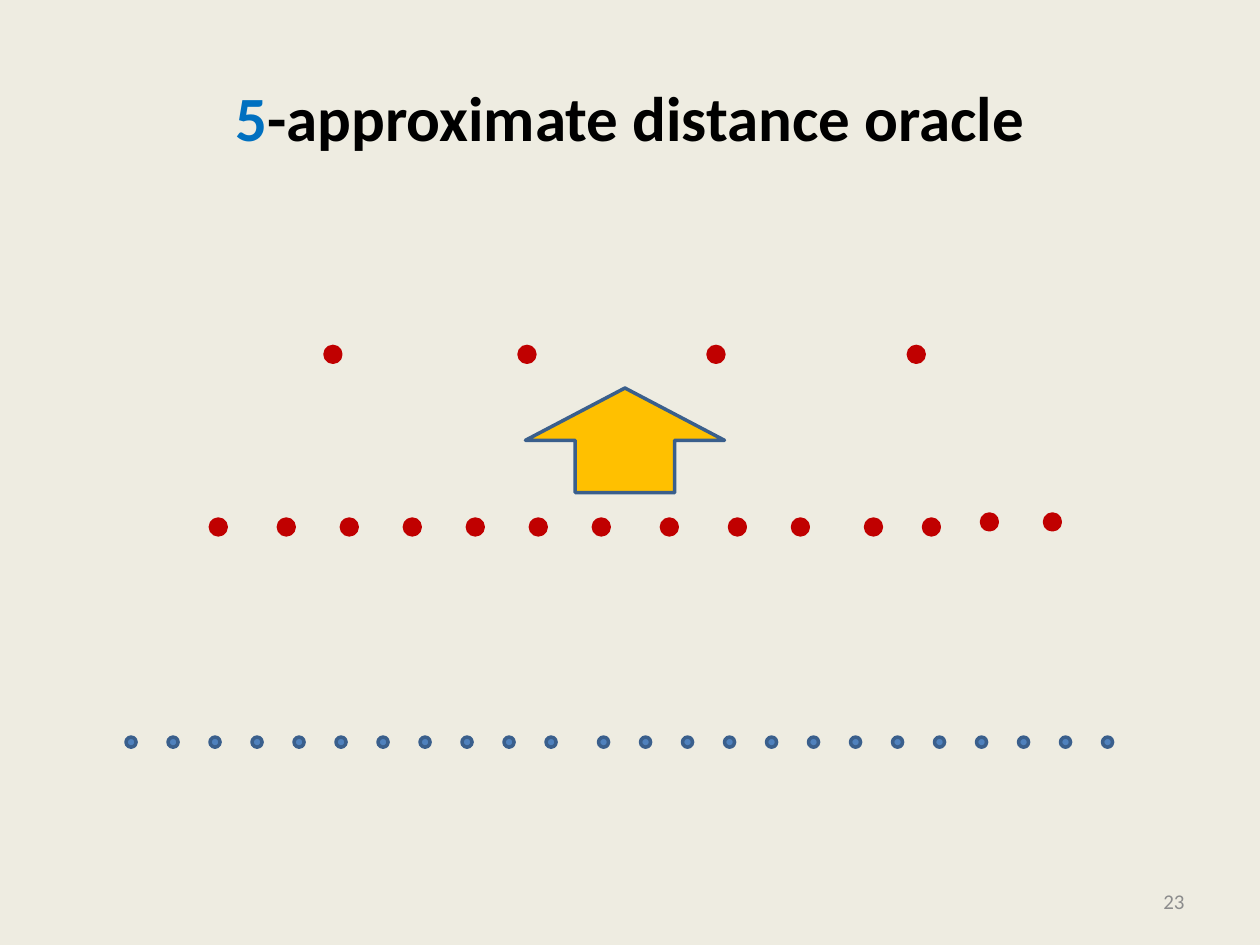
from pptx import Presentation
from pptx.dml.color import RGBColor
from pptx.enum.shapes import MSO_SHAPE as Shape
from pptx.enum.text import MSO_ANCHOR as Anchor, PP_ALIGN as Align
from pptx.util import Inches, Pt

CREAM = RGBColor(0xEE, 0xEC, 0xE1)
BLACK = RGBColor(0x00, 0x00, 0x00)
GRAY = RGBColor(0x8C, 0x8C, 0x8C)
AZURE = RGBColor(0x00, 0x70, 0xC0)
BLUE = RGBColor(0x4F, 0x81, 0xBD)
NAVY = RGBColor(0x3A, 0x5F, 0x8C)
RED = RGBColor(0xC0, 0x00, 0x00)
GOLD = RGBColor(0xFF, 0xC0, 0x00)

STEP = 1 / 3
POINTS = [i * STEP for i in range(11)] + [3.75 + i * STEP for i in range(13)]
MIDDLE = [0, 0.54, 1.04, 1.54, 2.04, 2.54, 3.04, 3.58, 4.12, 4.62, 5.2, 5.66]
RAISED = [0, 0.5]
TOP = [0, 1.54, 3.04, 4.63]


def add_title(slide, left, top, width, height):
    title = slide.shapes.title
    title.left, title.top = Inches(left), Inches(top)
    title.width, title.height = Inches(width), Inches(height)
    frame = title.text_frame
    frame.vertical_anchor = Anchor.MIDDLE
    para = frame.paragraphs[0]
    para.alignment = Align.CENTER
    para.font.name, para.font.size, para.font.bold = "Calibri", Pt(36), True
    for text, color in (("5", AZURE), ("-approximate distance oracle", BLACK)):
        run = para.add_run()
        run.text = text
        run.font.color.rgb = color


def add_number(slide, left, top, width, height):
    box = slide.shapes.add_textbox(
        Inches(left), Inches(top), Inches(width), Inches(height))
    frame = box.text_frame
    frame.word_wrap = True
    frame.vertical_anchor = Anchor.MIDDLE
    para = frame.paragraphs[0]
    para.text = "23"
    para.alignment = Align.RIGHT
    para.font.name, para.font.size = "Calibri", Pt(12)
    para.font.color.rgb = GRAY


def add_form(shapes, kind, left, top, width, height, fill, line):
    form = shapes.add_shape(
        kind, Inches(left), Inches(top), Inches(width), Inches(height))
    form.shadow.inherit = False
    form.fill.solid()
    form.fill.fore_color.rgb = fill
    form.line.color.rgb = line
    form.line.width = Pt(2)


def add_dots(group, left, top, size, steps, fill, line):
    for step in steps:
        add_form(group.shapes, Shape.OVAL, left + step, top, size, size,
                 fill, line)


def add_levels(slide, left, top):
    base, middle, upper = [slide.shapes.add_group_shape() for _ in range(3)]
    add_dots(base, left, top + 3.1, 0.08, POINTS, BLUE, NAVY)
    add_dots(middle, left + 0.67, top + 1.37, 0.125, MIDDLE, RED, RED)
    add_dots(middle, left + 6.79, top + 1.33, 0.125, RAISED, RED, RED)
    add_dots(upper, left + 1.58, top, 0.125, TOP, RED, RED)
    add_form(slide.shapes, Shape.UP_ARROW, left + 3.17, top + 0.33,
             1.58, 0.83, GOLD, NAVY)


def main():
    deck = Presentation()
    deck.slide_width, deck.slide_height = Inches(10), Inches(7.5)
    slide = deck.slides.add_slide(deck.slide_layouts[5])
    slide.background.fill.solid()
    slide.background.fill.fore_color.rgb = CREAM
    add_title(slide, 0.5, 0.3, 9, 1.25)
    add_number(slide, 7.17, 6.95, 2.33, 0.4)
    add_levels(slide, 1, 2.75)
    deck.save("out.pptx")


if __name__ == "__main__":
    main()
